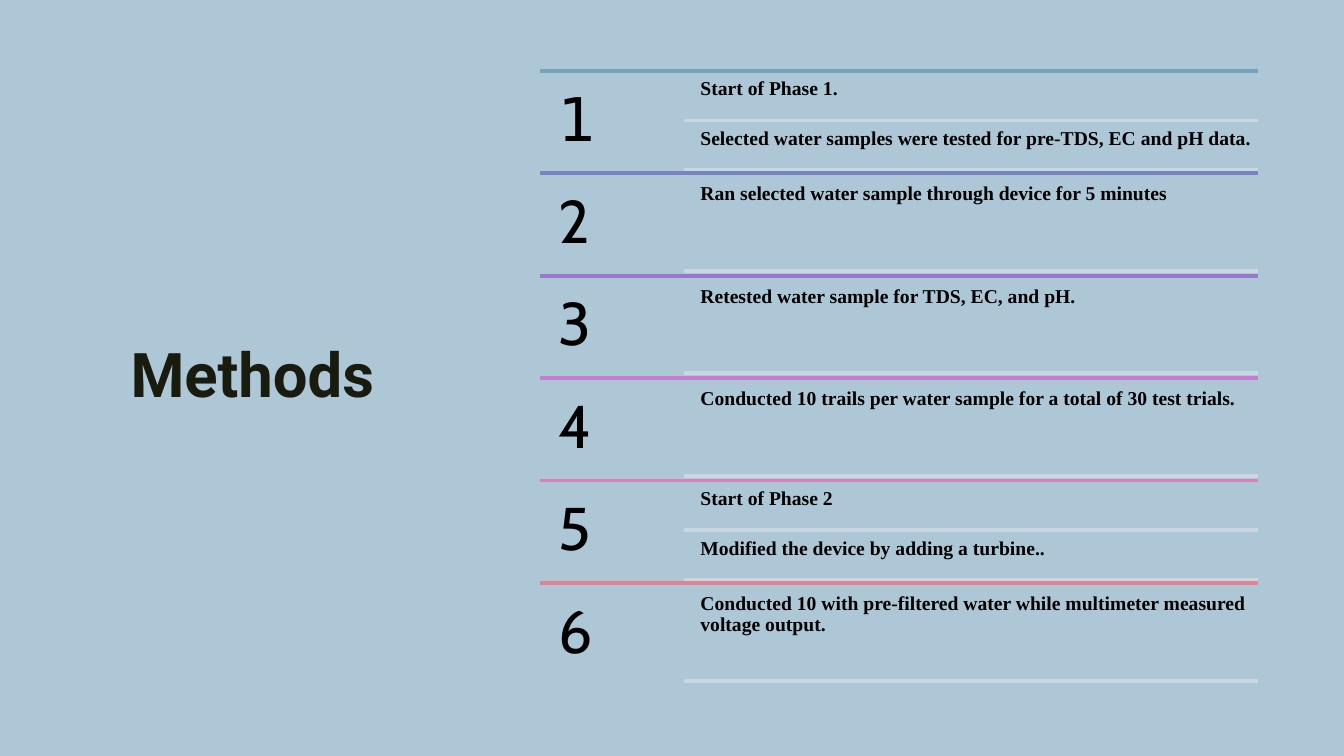
from dataclasses import dataclass

from lxml.etree import SubElement
from pptx import Presentation
from pptx.dml.color import RGBColor
from pptx.enum.shapes import MSO_CONNECTOR as Connector
from pptx.enum.text import MSO_ANCHOR as Anchor, PP_ALIGN as Align
from pptx.oxml.ns import qn
from pptx.slide import Slide
from pptx.text.text import Font, TextFrame
from pptx.util import Pt


@dataclass(frozen=True)
class Theme:
    background: str = "ADC7D6"
    title: str = "191B0E"
    text: str = "000000"
    divider: str = "CAD7E0"
    title_font: str = "Roboto"
    number_font: str = "Cabin"
    text_font: str = "Times New Roman"
    title_size: float = 44
    number_size: float = 43
    text_size: float = 14
    rule_width: float = 2.75


@dataclass(frozen=True)
class Step:
    color: str
    lines: tuple[str, ...]
    number_font: str = Theme.number_font


THEME = Theme()

STEPS = (
    Step("77A2BB", ("Start of Phase 1.",
                    "Selected water samples were tested for pre-TDS, EC and pH data."),
         number_font="DejaVu Sans"),
    Step("7883C4", ("Ran selected water sample through device for 5 minutes",)),
    Step("977ACC", ("Retested water sample for TDS, EC, and pH.",)),
    Step("C67CD4", ("Conducted 10 trails per water sample for a total of 30 test trials.",)),
    Step("DB7FBD", ("Start of Phase 2", "Modified the device by adding a turbine..")),
    Step("E28394", ("Conducted 10 with pre-filtered water while multimeter measured "
                    "voltage output.",)),
)

# Step list geometry, in points
LIST_LEFT, LIST_TOP, LIST_RIGHT = 386, 50.6, 898.6
STEP_HEIGHT = 73.15
NUMBER_WIDTH = 102.4
DIVIDER_LEFT = LIST_LEFT + NUMBER_WIDTH
TEXT_LEFT = 496.1
# Number of lines in a step: (height of each line box, gap above it)
LINE_LAYOUT = {1: (66.4, 3.4), 2: (33.8, 1.7)}


def format_font(font: Font, name: str, size: float, color: str, bold: bool = False) -> None:
    font.name = name
    font.size = Pt(size)
    font.bold = bold
    font.color.rgb = RGBColor.from_string(color)


def add_rule(slide: Slide, left: float, top: float, color: str) -> None:
    rule = slide.shapes.add_connector(
        Connector.STRAIGHT, Pt(left), Pt(top), Pt(LIST_RIGHT), Pt(top))
    rule.line.color.rgb = RGBColor.from_string(color)
    rule.line.width = Pt(THEME.rule_width)
    SubElement(rule.element.spPr, qn("a:effectLst"))


def add_text(slide: Slide, text: str, left: float, top: float, width: float,
             height: float, inset: float) -> TextFrame:
    box = slide.shapes.add_textbox(Pt(left), Pt(top), Pt(width), Pt(height))
    frame = box.text_frame
    frame.word_wrap = True
    frame.margin_left = frame.margin_right = Pt(inset)
    frame.margin_top = frame.margin_bottom = Pt(inset)
    frame.text = text
    frame.paragraphs[0].line_spacing = 0.9
    return frame


def add_title(slide: Slide, text: str) -> None:
    title = slide.shapes.title
    title.left, title.top, title.width, title.height = Pt(50.4), Pt(50.4), Pt(260), Pt(439.2)
    title.text_frame.text = text
    title.text_frame.vertical_anchor = Anchor.MIDDLE
    paragraph = title.text_frame.paragraphs[0]
    paragraph.alignment = Align.CENTER
    paragraph.line_spacing = 0.89
    format_font(paragraph.font, THEME.title_font, THEME.title_size, THEME.title, bold=True)


def add_step(slide: Slide, number: int, step: Step) -> None:
    top = LIST_TOP + (number - 1) * STEP_HEIGHT
    add_rule(slide, LIST_LEFT, top, step.color)
    frame = add_text(slide, str(number), LIST_LEFT, top, NUMBER_WIDTH, STEP_HEIGHT, 13)
    format_font(frame.paragraphs[0].font, step.number_font, THEME.number_size, THEME.text)

    # Lines of the step, each closed by a divider
    height, gap = LINE_LAYOUT[len(step.lines)]
    for index, line in enumerate(step.lines):
        line_top = top + gap + index * (height + gap)
        frame = add_text(slide, line, TEXT_LEFT, line_top, LIST_RIGHT - TEXT_LEFT, height, 4.2)
        format_font(frame.paragraphs[0].font, THEME.text_font, THEME.text_size,
                    THEME.text, bold=True)
        add_rule(slide, DIVIDER_LEFT, line_top + height, THEME.divider)


def main() -> None:
    presentation = Presentation()
    presentation.slide_width, presentation.slide_height = Pt(960), Pt(540)
    slide = presentation.slides.add_slide(presentation.slide_layouts.get_by_name("Title Only"))
    slide.background.fill.solid()
    slide.background.fill.fore_color.rgb = RGBColor.from_string(THEME.background)

    add_title(slide, "Methods")
    for number, step in enumerate(STEPS, start=1):
        add_step(slide, number, step)
    presentation.save("out.pptx")


if __name__ == "__main__":
    main()
